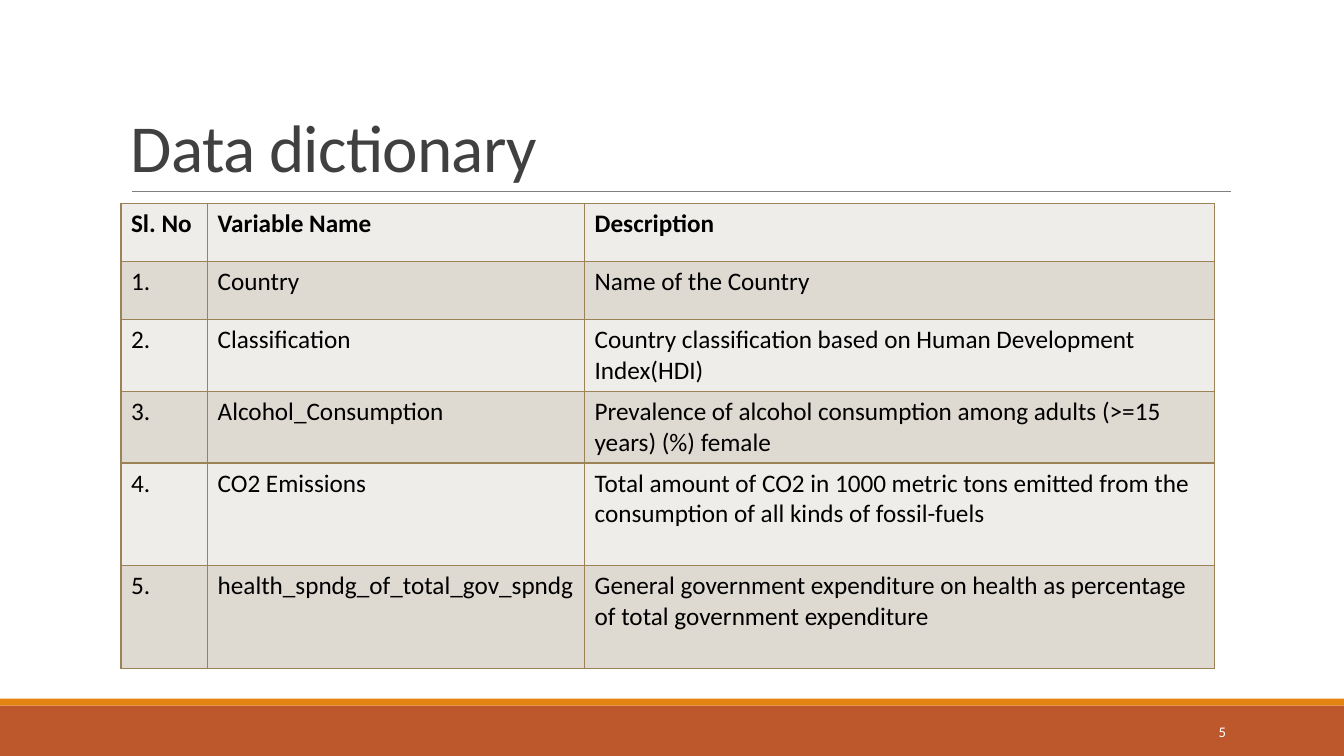
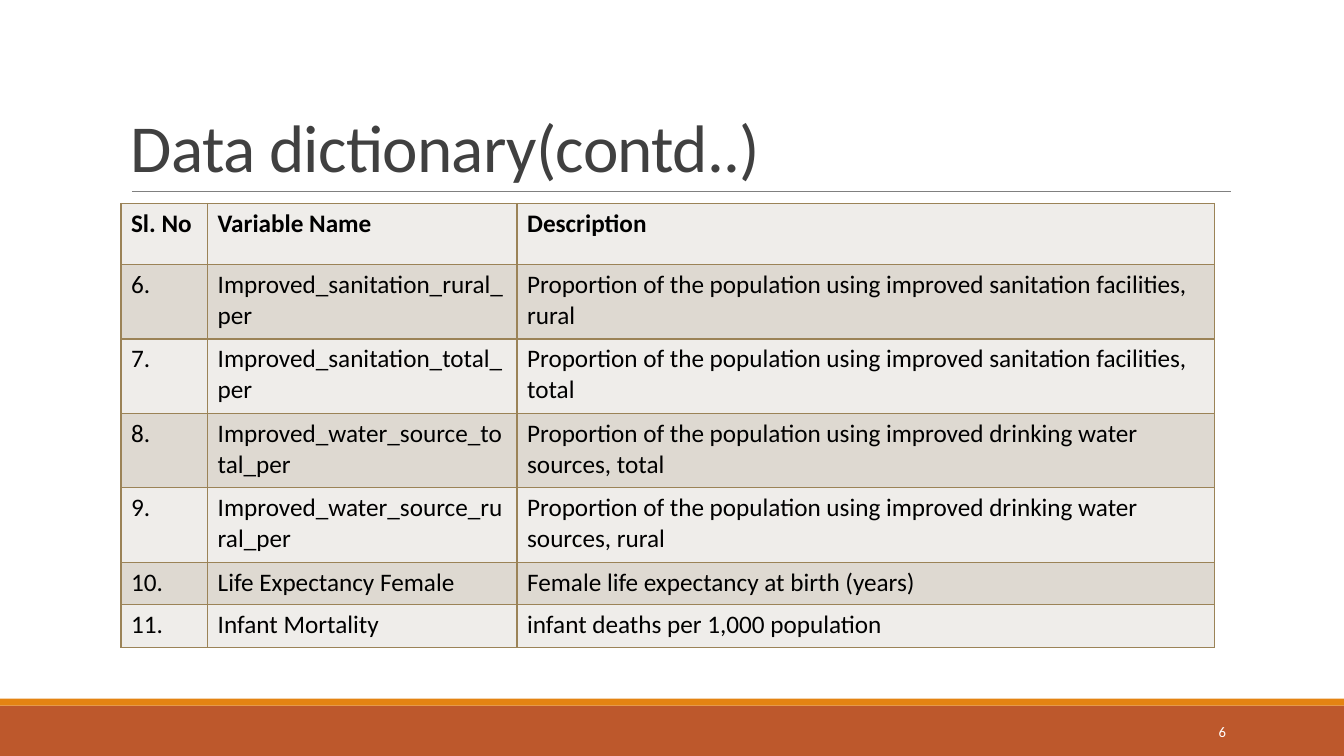
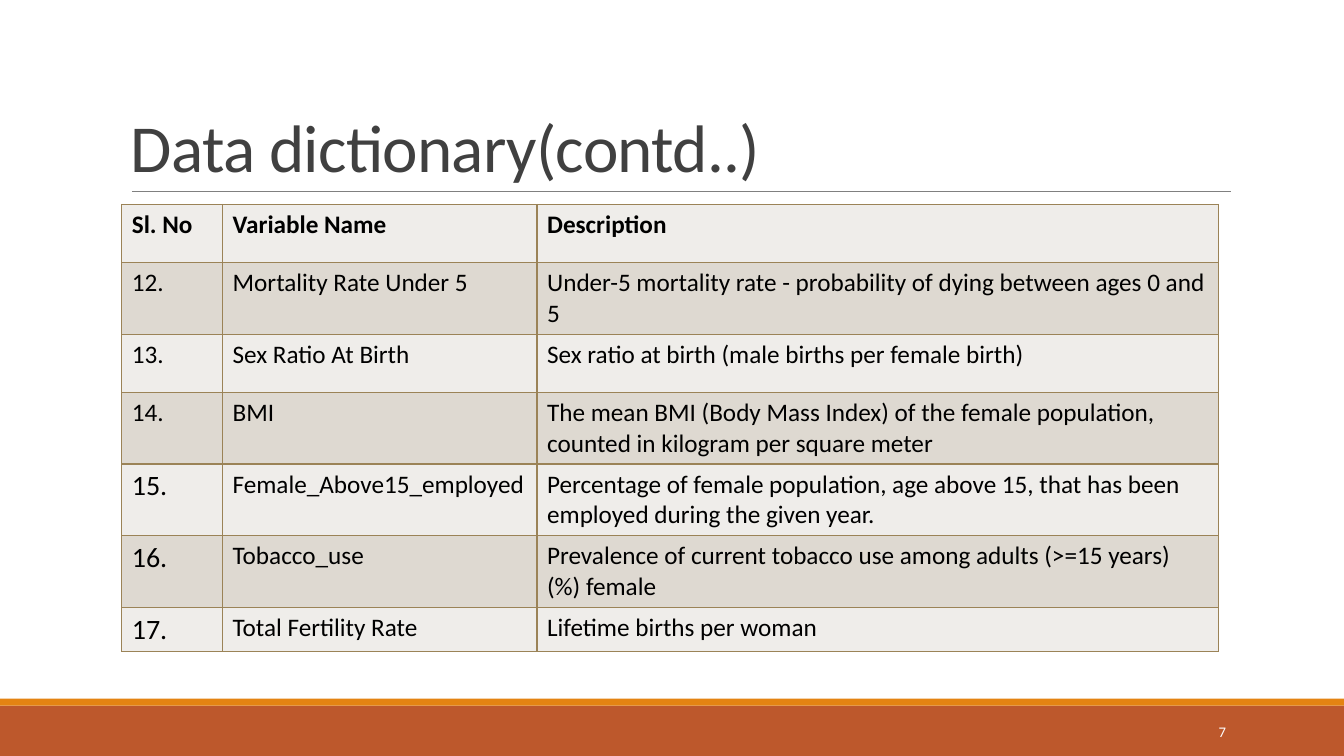
from lxml.etree import SubElement
from pptx import Presentation
from pptx.dml.color import RGBColor
from pptx.enum.shapes import MSO_CONNECTOR, MSO_SHAPE
from pptx.enum.text import MSO_ANCHOR, PP_ALIGN
from pptx.oxml.ns import qn
from pptx.util import Pt

# Content: row heights and column widths are in points
HEADER = ("Sl. No", "Variable Name", "Description")
SLIDES = [
    {
        "title": "Data dictionary",
        "origin": (86.4, 145.3),
        "widths": (61.92, 269.28, 450),
        "heights": (41.5, 41.5, 51.2, 51.2, 73.4, 73.2),
        "entries": [
            ("Country", "Name of the Country"),
            ("Classification",
             "Country classification based on Human Development Index(HDI)"),
            ("Alcohol_Consumption",
             "Prevalence of alcohol consumption among adults (>=15 years) (%) female"),
            ("CO2 Emissions",
             "Total amount of CO2 in 1000 metric tons emitted from the "
             "consumption of all kinds of fossil-fuels"),
            ("health_spndg_of_total_gov_spndg",
             "General government expenditure on health as percentage of "
             "total government expenditure"),
        ],
    },
    {
        "title": "Data dictionary(contd..)",
        "origin": (86.4, 145.3),
        "widths": (61.92, 221.04, 498.24),
        "heights": (43.6, 53.2, 53.2, 53.2, 53.2, 30.4, 30.4),
        "entries": [
            ("Improved_sanitation_rural_per",
             "Proportion of the population using improved sanitation facilities, rural"),
            ("Improved_sanitation_total_per",
             "Proportion of the population using improved sanitation facilities, total"),
            ("Improved_water_source_total_per",
             "Proportion of the population using improved drinking water sources, total"),
            ("Improved_water_source_rural_per",
             "Proportion of the population using improved drinking water sources, rural"),
            ("Life Expectancy Female", "Female life expectancy at birth (years)"),
            ("Infant Mortality", "infant deaths per 1,000 population"),
        ],
    },
    {
        "title": "Data dictionary(contd..)",
        "origin": (87, 146),
        "widths": (72, 224.64, 486.72),
        "heights": (41.5, 51.2, 41.5, 51.2, 51.2, 51.2, 31.6),
        "entries": [
            ("Mortality Rate Under 5",
             "Under-5 mortality rate - probability of dying between ages 0 and 5"),
            ("Sex Ratio At Birth",
             "Sex ratio at birth (male births per female birth)"),
            ("BMI",
             "The mean BMI (Body Mass Index) of the female population, "
             "counted in kilogram per square meter"),
            ("Female_Above15_employed",
             "Percentage of female population, age above 15, that has been "
             "employed during the given year."),
            ("Tobacco_use",
             "Prevalence of current tobacco use among adults (>=15 years) (%) female"),
            ("Total Fertility Rate", "Lifetime births per woman"),
        ],
    },
]
FIRST_PAGE = 5
FIRST_LARGE_NUMBER = 15  # serial numbers from here on are set larger

# Shared style
FONT = "Calibri"
SLIDE_W, SLIDE_H = 960, 540
RUST = RGBColor(0xBD, 0x58, 0x2C)
ORANGE = RGBColor(0xE4, 0x83, 0x12)
GRAY = RGBColor(0x80, 0x80, 0x80)
TITLE_GRAY = RGBColor(0x40, 0x40, 0x40)
BLACK = RGBColor(0, 0, 0)
WHITE = RGBColor(0xFF, 0xFF, 0xFF)
BORDER = RGBColor(0x9B, 0x83, 0x57)
ROW_FILLS = (RGBColor(0xEF, 0xED, 0xEA), RGBColor(0xDE, 0xD9, 0xD1))
BANDS = [(504, 36, RUST), (499, 5, ORANGE)]  # top, height, colour


def add_run(paragraph, text, size, color, bold=False):
    run = paragraph.add_run()
    run.text = text
    run.font.name = FONT
    run.font.size = Pt(size)
    run.font.color.rgb = color
    run.font.bold = bold
    return run


def add_text(slide, box, anchor):
    frame = slide.shapes.add_textbox(*map(Pt, box)).text_frame
    frame.word_wrap = True
    frame.vertical_anchor = anchor
    return frame.paragraphs[0]


def add_frame(slide, title, page):
    # Footer bands
    for top, height, color in BANDS:
        band = slide.shapes.add_shape(
            MSO_SHAPE.RECTANGLE, 0, Pt(top), Pt(SLIDE_W), Pt(height))
        band.shadow.inherit = False
        band.fill.solid()
        band.fill.fore_color.rgb = color
        band.line.fill.background()

    # Rule under the title
    rule = slide.shapes.add_connector(
        MSO_CONNECTOR.STRAIGHT, Pt(94.3), Pt(136.8), Pt(879), Pt(136.8))
    rule.line.color.rgb = GRAY
    rule.line.width = Pt(0.5)
    SubElement(rule._element.spPr, qn("a:effectLst"))

    # Title
    heading = add_text(slide, (86.4, 22.3, 792, 114.5), MSO_ANCHOR.BOTTOM)
    heading.line_spacing = 0.85
    run = add_run(heading, title, 48, TITLE_GRAY)
    run.font._element.set("spc", "-50")

    # Page number
    number = add_text(slide, (779.8, 508.3, 103, 28.8), MSO_ANCHOR.MIDDLE)
    number.alignment = PP_ALIGN.RIGHT
    add_run(number, str(page), 10.5, WHITE)


def add_borders(cell):
    properties = cell._tc.get_or_add_tcPr()
    for side in ("lnL", "lnR", "lnT", "lnB"):
        line = SubElement(properties, qn(f"a:{side}"), w=str(Pt(1)))
        fill = SubElement(line, qn("a:solidFill"))
        SubElement(fill, qn("a:srgbClr"), val=str(BORDER))


def add_dictionary(slide, content, first_number):
    widths, heights = content["widths"], content["heights"]
    rows = [HEADER] + [
        (f"{number}.", *entry)
        for number, entry in enumerate(content["entries"], first_number)]
    table = slide.shapes.add_table(
        len(rows), len(widths), *map(Pt, content["origin"]),
        Pt(sum(widths)), Pt(sum(heights))).table
    table.first_row = table.horz_banding = False
    for column, width in zip(table.columns, widths):
        column.width = Pt(width)
    for r, (texts, height) in enumerate(zip(rows, heights)):
        table.rows[r].height = Pt(height)
        large_number = r > 0 and first_number + r - 1 >= FIRST_LARGE_NUMBER
        for c, text in enumerate(texts):
            cell = table.cell(r, c)
            add_borders(cell)
            cell.fill.solid()
            cell.fill.fore_color.rgb = ROW_FILLS[r % 2]
            size = 20 if large_number and c == 0 else 18
            add_run(cell.text_frame.paragraphs[0], text, size, BLACK, bold=r == 0)


def main():
    deck = Presentation()
    deck.slide_width, deck.slide_height = Pt(SLIDE_W), Pt(SLIDE_H)
    first_number = 1
    for page, content in enumerate(SLIDES, FIRST_PAGE):
        slide = deck.slides.add_slide(deck.slide_layouts[6])
        add_frame(slide, content["title"], page)
        add_dictionary(slide, content, first_number)
        first_number += len(content["entries"])
    deck.save("out.pptx")


if __name__ == "__main__":
    main()
